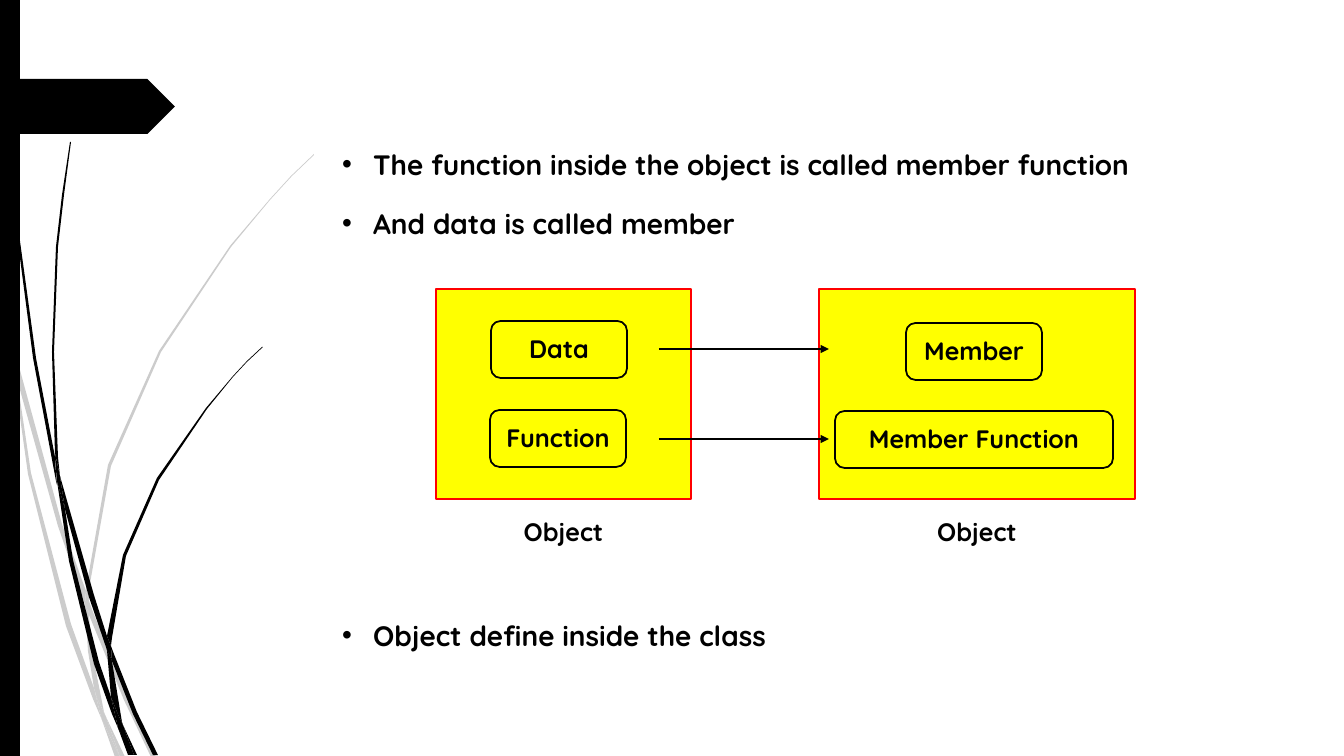
from lxml import etree
from pptx import Presentation
from pptx import util as u
from pptx.dml.color import RGBColor
from pptx.enum import shapes, text
from pptx.oxml import ns

SCALE = 12192000 / 1344
FONT = "Quicksand"
BLACK = RGBColor(0x00, 0x00, 0x00)
GREY = RGBColor(0xCC, 0xCC, 0xCC)
YELLOW = RGBColor(0xFF, 0xFF, 0x00)
RED = RGBColor(0xFF, 0x00, 0x00)

GREY_BLADES = [
    [(11, 353), (9, 325), (0, 284), (0, 301), (10, 347)],
    [(58, 526), (85, 604), (86, 591), (62, 524), (14, 348), (17, 379)],
    [(93, 612), (89, 601), (89, 615), (124, 700), (151, 757), (156, 757), (128, 698)],
    [(120, 757), (125, 757), (106, 717)],
    [(94, 688), (71, 624), (31, 473), (17, 379), (11, 353), (28, 474), (66, 626),
     (93, 699), (102, 720), (100, 713)],
    [(85, 604), (88, 651), (94, 688), (97, 698), (106, 717), (104, 712), (92, 651),
     (89, 615), (89, 613)],
    [(89, 589), (111, 466), (161, 352), (231, 247), (270, 200), (292, 176), (314, 155),
     (314, 154), (291, 176), (270, 199), (230, 246), (159, 351), (108, 465), (86, 589),
     (86, 591), (89, 601)],
    [(102, 720), (115, 757), (120, 757)],
    [(89, 613), (89, 615), (89, 601), (86, 591), (85, 604)],
    [(97, 698), (94, 688), (100, 713), (102, 720), (120, 757), (106, 717)],
]
BLACK_BLADES = [
    [(7, 111), (17, 235), (33, 358), (56, 481), (57, 485), (55, 461), (55, 457),
     (36, 358), (19, 234), (8, 110), (5, 48), (4, 0), (3, 0), (4, 48)],
    [(89, 597), (107, 650), (107, 638), (107, 636), (94, 595), (60, 476), (65, 509)],
    [(114, 654), (111, 646), (112, 661), (133, 714), (153, 755), (158, 755), (137, 712)],
    [(111, 697), (99, 662), (73, 560), (65, 509), (57, 481), (69, 561), (94, 664),
     (112, 714), (118, 728), (117, 723)],
    [(60, 476), (58, 457), (54, 352), (58, 247), (64, 195), (71, 142), (70, 142),
     (62, 195), (56, 247), (52, 352), (55, 453)],
    [(134, 755), (137, 755), (123, 725)],
    [(57, 481), (65, 509), (60, 476), (55, 453), (55, 457)],
    [(112, 638), (126, 556), (159, 480), (207, 409), (233, 377), (247, 362), (263, 347),
     (262, 347), (247, 361), (233, 376), (206, 408), (157, 478), (123, 555), (107, 636),
     (111, 646)],
    [(118, 728), (128, 755), (132, 755)],
    [(107, 650), (111, 697), (117, 712), (123, 725), (122, 722), (112, 661), (110, 656)],
    [(107, 650), (110, 656), (112, 661), (111, 646), (107, 636)],
    [(117, 712), (111, 697), (117, 723), (118, 728), (131, 755), (134, 755), (123, 725)],
]


def px(length):
    """Turn pixels into EMU."""
    return u.Emu(round(length * SCALE))


def write(paragraph, words, size=18, color=BLACK, bold=True, align=None, before=0):
    """Put formatted words into a paragraph."""
    paragraph.alignment = align
    paragraph.space_before = u.Pt(before)
    paragraph.line_spacing = 1.0
    run = paragraph.add_run()
    run.text = words
    run.font.name = FONT
    run.font.size = u.Pt(size)
    run.font.bold = bold
    run.font.color.rgb = color


def paint(shape, fill=None, line=None, weight=1.25):
    """Set fill and outline and drop the shadow."""
    shape.shadow.inherit = False
    if fill is None:
        shape.fill.background()
    else:
        shape.fill.solid()
        shape.fill.fore_color.rgb = fill
    if line is None:
        shape.line.fill.background()
    else:
        shape.line.color.rgb = line
        shape.line.width = u.Pt(weight)


def add_block(slide, kind, box, **colors):
    """Add a painted preset shape in a pixel box."""
    block = slide.shapes.add_shape(kind, *map(px, box))
    paint(block, **colors)
    return block


def add_blade(slide, outline, color, left, top):
    """Draw one piece of a grass blade."""
    points = [(px(left + x), px(top + y)) for x, y in outline]
    builder = slide.shapes.build_freeform(*points[0])
    builder.add_line_segments(points[1:])
    paint(builder.convert_to_shape(), fill=color)


def add_decoration(slide, box):
    """Draw the grass, the side bar and the page tab."""
    left, top, _, height = box
    for color, blades in ((GREY, GREY_BLADES), (BLACK, BLACK_BLADES)):
        for outline in blades:
            add_blade(slide, outline, color, left, top)
    add_block(slide, shapes.MSO_SHAPE.RECTANGLE, (left, top, 20, height), fill=BLACK)
    add_block(slide, shapes.MSO_SHAPE.PENTAGON, (left, top + 79, 175, 55), fill=BLACK)


def add_points(slide, box, points):
    """Fill the body placeholder with bulleted (words, space before) points."""
    body = slide.placeholders[1]
    body.left, body.top, body.width, body.height = map(px, box)
    frame = body.text_frame
    frame.word_wrap = True
    frame.auto_size = text.MSO_AUTO_SIZE.NONE
    frame.vertical_anchor = text.MSO_ANCHOR.TOP
    for index, (words, before) in enumerate(points):
        point = frame.add_paragraph() if index else frame.paragraphs[0]
        write(point, words, size=20, before=before)
        layout = point._p.get_or_add_pPr()
        layout.set("marL", str(px(82)))
        layout.set("indent", str(-px(31)))
        etree.SubElement(layout, ns.qn("a:buFont"), typeface="Arial")
        etree.SubElement(layout, ns.qn("a:buChar"), char="\u2022")


def add_object(slide, box, members):
    """Draw a yellow object with its framed members and its caption."""
    left, top, width, height = box
    add_block(slide, shapes.MSO_SHAPE.RECTANGLE, box, fill=YELLOW, line=RED)
    for words, x, y, member_width in members:
        member = add_block(slide, shapes.MSO_SHAPE.ROUNDED_RECTANGLE,
                           (left + x, top + y, member_width, 57), line=BLACK)
        member.text_frame.vertical_anchor = text.MSO_ANCHOR.MIDDLE
        member.text_frame.margin_bottom = px(7)
        write(member.text_frame.paragraphs[0], words, align=text.PP_ALIGN.CENTER)
    caption = slide.shapes.add_textbox(*map(px, (left, top + height + 12, width, 40)))
    caption.text_frame.word_wrap = True
    write(caption.text_frame.paragraphs[0], "Object", align=text.PP_ALIGN.CENTER)


def add_arrow(slide, start, end, y):
    """Draw a level arrow."""
    arrow = slide.shapes.add_connector(
        shapes.MSO_CONNECTOR.STRAIGHT, px(start), px(y), px(end), px(y))
    arrow.line.color.rgb = BLACK
    arrow.line.width = u.Pt(0.75)
    etree.SubElement(arrow.line._get_or_add_ln(), ns.qn("a:tailEnd"), type="triangle")
    etree.SubElement(arrow._element.spPr, ns.qn("a:effectLst"))


def add_diagram(slide, box):
    """Draw both objects and the arrows between them."""
    left, top, width, height = box
    add_object(slide, (left, top, 255, height),
               [("Data", 55, 32, 136), ("Function", 54, 121, 136)])
    add_object(slide, (left + width - 316, top, 316, height),
               [("Member", 87, 34, 136), ("Member Function", 16, 122, 278)])
    for y in (60, 150):
        add_arrow(slide, left + 223, left + 393, top + y)


def main():
    """Build the slide and save it."""
    deck = Presentation()
    deck.slide_width, deck.slide_height = px(1344), px(756)
    slide = deck.slides.add_slide(deck.slide_layouts[1])
    title = slide.shapes.title._element
    title.getparent().remove(title)
    add_decoration(slide, (0, 0, 320, 756))
    add_points(slide, (281, 142, 983, 516), [
        ("The function inside the object is called member function", 0),
        ("And data is called member", 18.5),
        ("Object define inside the class", 270),
    ])
    add_diagram(slide, (436, 289, 699, 210))
    deck.save("out.pptx")


main()
